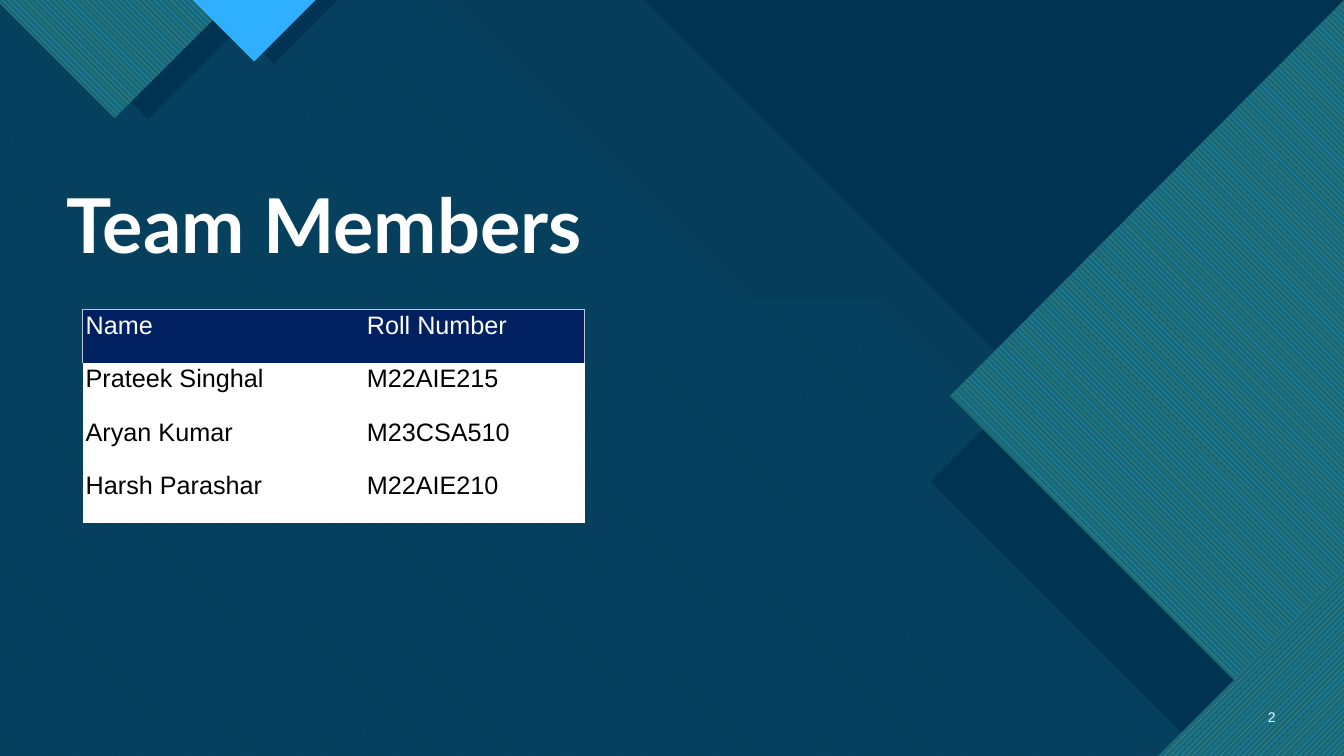
from lxml import etree
from pptx import Presentation
from pptx.dml.color import RGBColor
from pptx.enum.dml import MSO_PATTERN
from pptx.enum.shapes import MSO_SHAPE
from pptx.enum.text import MSO_ANCHOR, PP_ALIGN
from pptx.oxml.ns import qn
from pptx.util import Inches, Pt

WIDE, HIGH = 13.33, 7.5
STEP = 2.97
PLAIN = "{2D5ABB26-0587-4C30-8999-92F81FD0307C}"
DOWN = MSO_PATTERN.WIDE_DOWNWARD_DIAGONAL
UP = MSO_PATTERN.WIDE_UPWARD_DIAGONAL
HUES = {
    "base": "0C4360", "dark": "003352", "aqua": "47C3D3", "teal": "1B6872",
    "sky": "2FAFFF", "blue": "0065A4", "head": "002060", "rule": "BDC6D8",
    "white": "FFFFFF", "black": "000000",
}
TEAM = [
    ("Name", "Roll Number"),
    ("Prateek Singhal", "M22AIE215"),
    ("Aryan Kumar", "M23CSA510"),
    ("Harsh Parashar", "M22AIE210"),
]


def tint(name):
    return RGBColor.from_string(HUES[name])


def style(font, size, hue="white", face="Arial", bold=False):
    font.name, font.size, font.bold = face, Pt(size), bold
    font.color.rgb = tint(hue)


def place(shape, box):
    shape.left, shape.top, shape.width, shape.height = map(Inches, box)


def paint(shape, hue, weave=None, back="teal", alpha=None):
    shape.shadow.inherit = False
    shape.line.fill.background()
    fill = shape.fill
    if weave is None:
        fill.solid()
        fill.fore_color.rgb = tint(hue)
    else:
        fill.patterned()
        fill.pattern = weave
        fill.fore_color.rgb = tint(hue)
        fill.back_color.rgb = tint(back)
    if alpha:
        color = next(shape.element.iter(qn("a:srgbClr")))
        etree.SubElement(color, qn("a:alpha")).set("val", str(alpha * 1000))


def draw(slide, box, points, *look, **more):
    """Fill a polygon whose points are inches from the corner of the box."""
    spots = [(Inches(box[0] + x), Inches(box[1] + y)) for x, y in points]
    pen = slide.shapes.build_freeform(*spots[0], scale=1.0)
    pen.add_line_segments(spots[1:], close=True)
    paint(pen.convert_to_shape(), *look, **more)


def stair(box, top, shelf):
    """Outline left of a diagonal that pauses on a shelf one step down."""
    _, _, w, h = box
    run = min(w - shelf, h - STEP)
    end = shelf + run
    return [(0, 0), (top, 0), (top + STEP, STEP), (shelf, STEP),
            (end, STEP + run), (end, h), (0, h)]


def backdrop(slide, box):
    w = box[2]
    base = slide.shapes.add_shape(MSO_SHAPE.RECTANGLE, *map(Inches, box))
    paint(base, "base")
    draw(slide, box, stair(box, 8.26, 12.35), "aqua", alpha=74)
    draw(slide, box, stair(box, 4.49, 8.72), "blue", DOWN, "aqua")
    draw(slide, box, [(6.39, 0), (w, 0), (w, w - 6.39)], "dark")
    draw(slide, box, stair(box, 6.95, 11.18), "dark", alpha=90)


def wedges(slide, box):
    """Large folded shapes along the right edge."""
    w, h = box[2:]
    for top, tip, foot, look in (
        (0.68, (9.23, 4.78), 11.95, ("dark",)),
        (0, (9.42, 3.93), 12.99, ("sky", DOWN)),
    ):
        draw(slide, box, [(w, top), (w, h), (foot, h), tip], *look)
    for leg, look in ((1.36, ("dark",)), (1.84, ("sky", UP))):
        draw(slide, box, [(w, h - leg), (w, h), (w - leg, h)], *look)


def pennants(slide, box):
    """Points hanging from the top edge, each after its shadow."""
    for mid, drop, look in (
        (1.47, 1.18, ("dark",)),
        (1.14, 1.17, ("sky", DOWN)),
        (2.72, 0.63, ("dark",)),
        (2.52, 0.61, ("sky",)),
    ):
        draw(slide, box, [(mid - drop, 0), (mid, drop), (mid + drop, 0)], *look)


def heading(slide, box, text):
    title = slide.shapes.title
    slide.shapes.element.append(title.element)
    place(title, box)
    frame = title.text_frame
    frame.text = text
    frame.word_wrap = True
    frame.vertical_anchor = MSO_ANCHOR.BOTTOM
    para = frame.paragraphs[0]
    para.alignment = PP_ALIGN.LEFT
    para.line_spacing = 0.9
    style(para.font, 54, face="Lato", bold=True)


def edges(cell, sides, hue, width):
    props = cell._tc.get_or_add_tcPr()
    for spot, side in enumerate(sides):
        line = etree.Element(qn(f"a:ln{side}"), w=str(Pt(width)))
        solid = etree.SubElement(line, qn("a:solidFill"))
        etree.SubElement(solid, qn("a:srgbClr")).set("val", HUES[hue])
        props.insert(spot, line)


def roster(slide, box, rows):
    x, y, w, h = map(Inches, box)
    frame = slide.shapes.add_table(len(rows), 2, x, y, w, h)
    table = frame.table
    next(frame.element.iter(qn("a:tableStyleId"))).text = PLAIN
    for col, share in zip(table.columns, (0.56, 0.44)):
        col.width = int(w * share)
    last = len(rows) - 1
    for r, row in enumerate(rows):
        for c, text in enumerate(row):
            cell = table.cell(r, c)
            cell.text = text
            cell.margin_left = cell.margin_right = Inches(0.03)
            cell.margin_top = cell.margin_bottom = Inches(0.02)
            cell.fill.solid()
            cell.fill.fore_color.rgb = tint("white" if r else "head")
            style(cell.text_frame.paragraphs[0].font, 18,
                  "black" if r else "white")
            if r:
                sides = "RL"[c] + "T" * (r > 1) + "B" * (r < last)
                edges(cell, sides, "white", 1)
            else:
                edges(cell, "LR"[c] + "T", "rule", 0.5)


def number(slide, box, text):
    frame = slide.shapes.add_textbox(*map(Inches, box)).text_frame
    frame.word_wrap = True
    frame.vertical_anchor = MSO_ANCHOR.MIDDLE
    para = frame.paragraphs[0]
    para.text = text
    para.alignment = PP_ALIGN.RIGHT
    style(para.font, 10)


def main():
    deck = Presentation()
    deck.slide_width, deck.slide_height = Inches(WIDE), Inches(HIGH)
    slide = deck.slides.add_slide(deck.slide_layouts[5])
    full = (0, 0, WIDE, HIGH)
    for part in (backdrop, wedges, pennants):
        part(slide, full)
    heading(slide, (0.56, 1.79, 8.51, 0.94), "Team Members")
    number(slide, (12.31, 6.91, 0.44, 0.4), "2")
    roster(slide, (0.82, 3.07, 4.98, 2.12), TEAM)
    deck.save("out.pptx")


if __name__ == "__main__":
    main()
